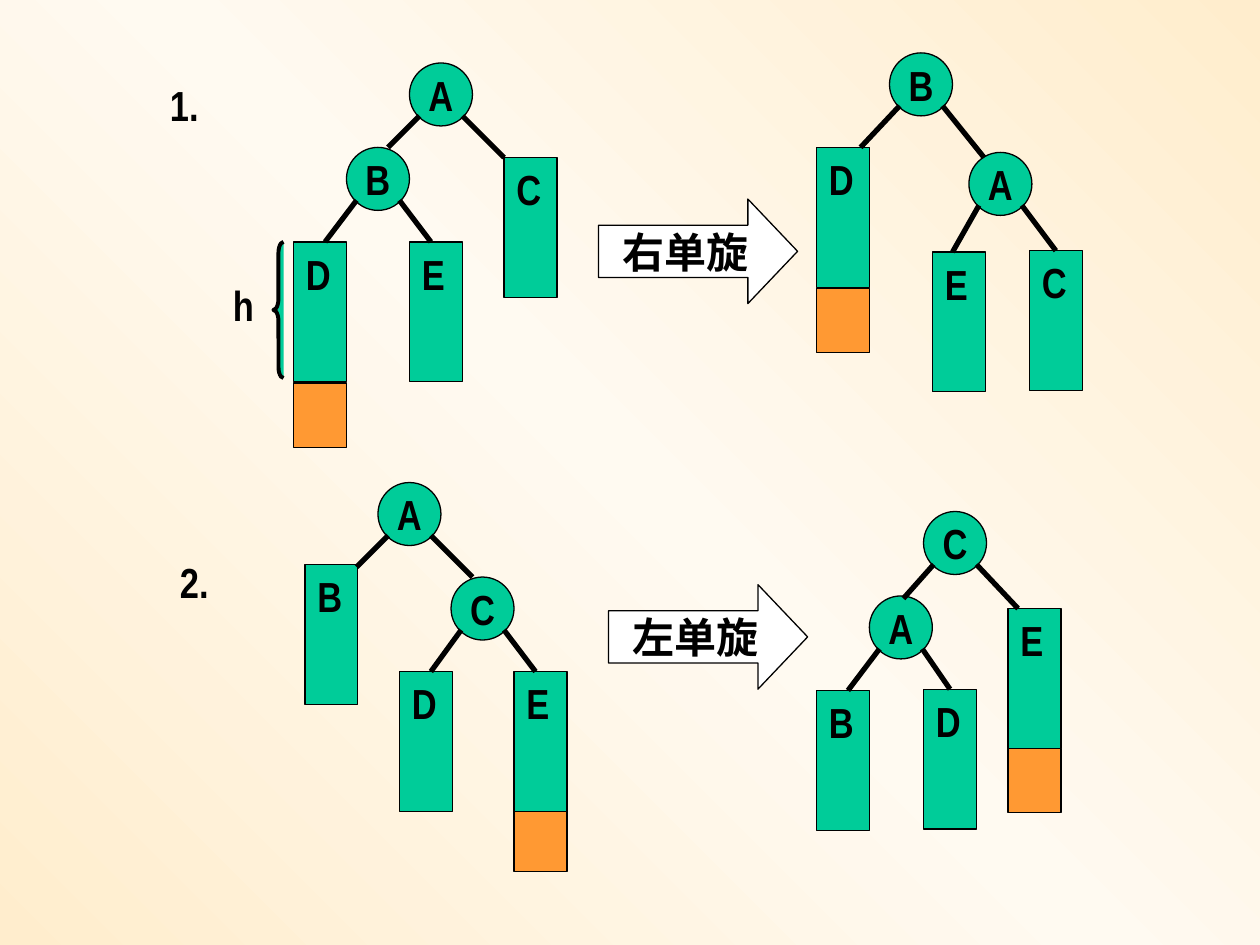
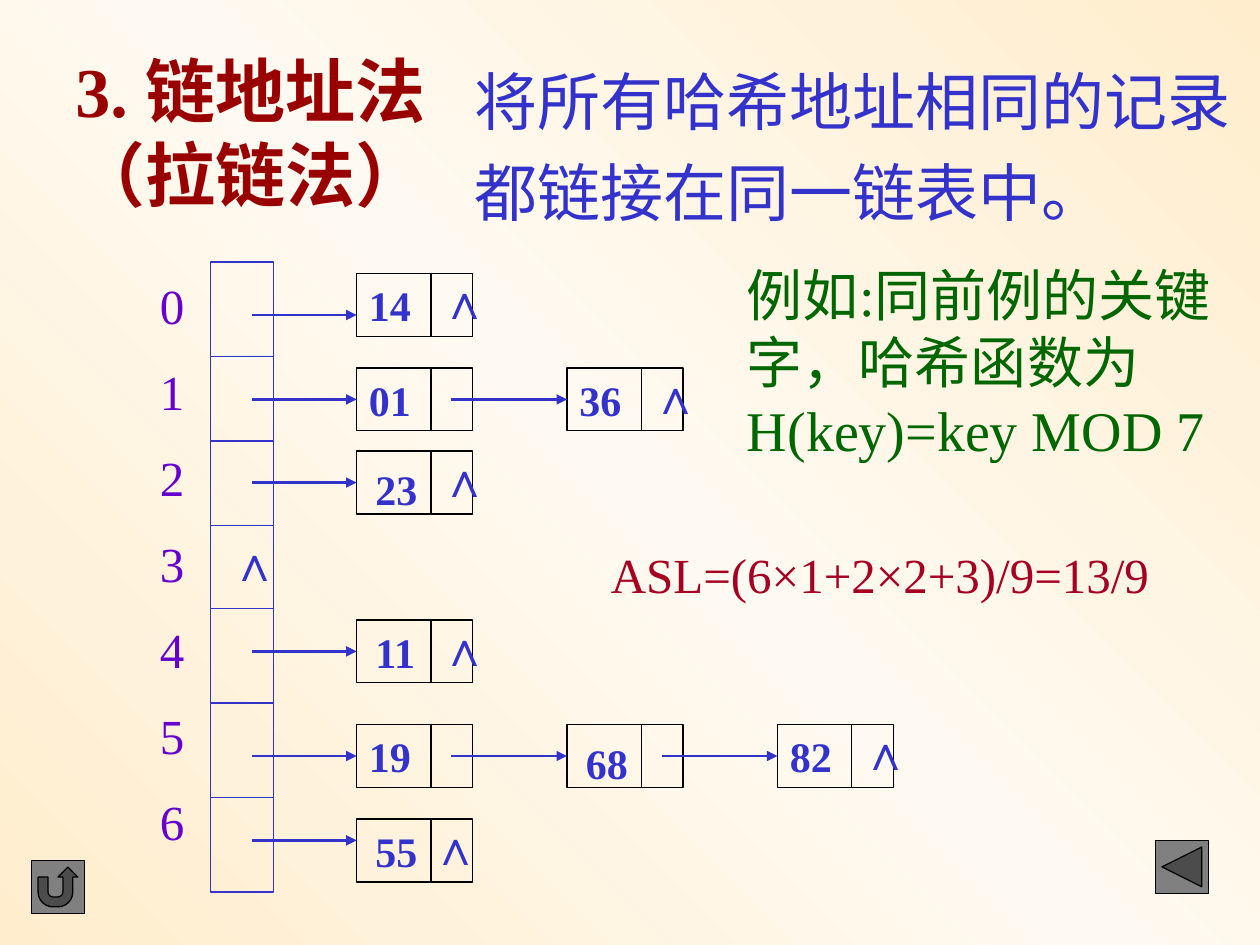
import copy

import pptx
import pptx.dml.color
import pptx.enum.shapes
import pptx.enum.text
import pptx.oxml.ns
import pptx.util
from lxml import etree

Inches = pptx.util.Inches
Pt = pptx.util.Pt
SHAPE = pptx.enum.shapes.MSO_SHAPE
ANCHOR = pptx.enum.text.MSO_ANCHOR
ALIGN = pptx.enum.text.PP_ALIGN
qn = pptx.oxml.ns.qn

BLACK, WHITE = "000000", "FFFFFF"
GREEN, ORANGE, BLUE, GREY = "00CC99", "FF9933", "3333CC", "808080"
CREAM, IVORY = "FFEDCD", "FFFAF1"
NARROW, ROMAN = "Arial Narrow", "Times New Roman"
LABEL = dict(size=24, font=NARROW, bold=True)
KEY = dict(size=24, color=BLUE, bold=True)
NIL = dict(size=28, color=BLUE, bold=True, wrap=False)


def rgb(code):
    """Turn a hex string into a colour."""
    return pptx.dml.color.RGBColor.from_string(code)


def write(frame, text, size=24, font=ROMAN, color=BLACK, bold=False,
          align=ALIGN.LEFT, anchor=ANCHOR.TOP, wrap=True, gap=0, lead=None):
    """Fill a text frame, one paragraph per line of text."""
    frame.word_wrap = wrap
    frame.vertical_anchor = anchor
    for i, line in enumerate(text.split("\n")):
        para = frame.add_paragraph() if i else frame.paragraphs[0]
        para.alignment = align
        if i and gap:
            para.space_before = Pt(gap)
        if lead:
            para.line_spacing = lead
        run = para.add_run()
        run.text = line
        run.font.size, run.font.name, run.font.bold = Pt(size), font, bold
        run.font.color.rgb = rgb(color)


def label(slide, x, y, w, h, text, **form):
    """Add a text box."""
    box = slide.shapes.add_textbox(Inches(x), Inches(y), Inches(w), Inches(h))
    write(box.text_frame, text, **form)


def shape(slide, kind, x, y, w, h, fill=None, line=BLACK, width=0.75):
    """Add a preset shape without a shadow."""
    item = slide.shapes.add_shape(kind, Inches(x), Inches(y), Inches(w), Inches(h))
    item.shadow.inherit = False
    if fill:
        item.fill.solid()
        item.fill.fore_color.rgb = rgb(fill)
    else:
        item.fill.background()
    item.line.color.rgb = rgb(line)
    item.line.width = Pt(width)
    return item


def rule(slide, x1, y1, x2, y2, color=BLACK, width=0.75, arrow=False):
    """Add a straight line, with an arrowhead at its end if asked."""
    line = slide.shapes.add_connector(
        pptx.enum.shapes.MSO_CONNECTOR.STRAIGHT,
        Inches(x1), Inches(y1), Inches(x2), Inches(y2))
    line.line.color.rgb = rgb(color)
    line.line.width = Pt(width)
    props = line._element.spPr
    if arrow:
        etree.SubElement(props.find(qn("a:ln")), qn("a:tailEnd"), type="triangle")
    etree.SubElement(props, qn("a:effectLst"))
    return line


def tree(slide, x, y, nodes, edges, tall, drop):
    """Draw a tree whose parents are circles and whose subtrees are bars."""
    heads = {edge[0] for edge in edges}
    left, top = nodes[tall]
    shape(slide, SHAPE.RECTANGLE, x + left, y + top + drop, 0.42, 0.51, ORANGE)
    made = {}
    for name, (dx, dy) in nodes.items():
        if name in heads:
            item = shape(slide, SHAPE.OVAL, x + dx, y + dy, 0.5, 0.5, GREEN)
            write(item.text_frame, name, align=ALIGN.CENTER,
                  anchor=ANCHOR.MIDDLE, wrap=False, **LABEL)
        else:
            item = shape(slide, SHAPE.RECTANGLE, x + dx, y + dy, 0.42, 1.11, GREEN)
            write(item.text_frame, name, **LABEL)
        made[name] = item
    for head, side, end in edges:
        dx, dy = nodes[head]
        join = end in made
        ex, ey = nodes[end] if join else end
        line = rule(slide, x + dx + 0.25 + side * 0.17, y + dy + 0.42,
                    x + ex, y + ey, width=3)
        if join:
            line.end_connect(made[end], 0)


def turn(slide, x, y, text):
    """Draw the block arrow that names a rotation."""
    item = shape(slide, SHAPE.RIGHT_ARROW, x, y, 1.58, 0.83, WHITE)
    item.adjustments[1] = 0.475
    write(item.text_frame, text, align=ALIGN.CENTER, anchor=ANCHOR.MIDDLE,
          wrap=False, **LABEL)


def spins(slide):
    """Build the slide of single rotations."""
    tree(slide, 6.48, 0.42,
         {"A": (1.21, 0.79), "B": (0.58, 0), "D": (0, 0.75),
          "C": (1.69, 1.57), "E": (0.92, 1.58)},
         [("B", -1, (0.35, 0.75)), ("B", 1, (1.33, 0.83)),
          ("A", -1, (1.08, 1.58)), ("A", 1, "C")], "D", 1.12)
    tree(slide, 2.42, 3.83,
         {"A": (0.58, 0), "C": (1.16, 0.75), "D": (0.75, 1.5),
          "B": (0, 0.65), "E": (1.66, 1.5)},
         [("A", -1, (0.41, 0.67)), ("A", 1, (1.33, 0.75)),
          ("C", -1, (1, 1.5)), ("C", 1, (1.83, 1.5))], "E", 1.08)
    tree(slide, 6.48, 4.06,
         {"A": (0.42, 0.67), "C": (0.85, 0), "E": (1.52, 0.77),
          "D": (0.85, 1.41), "B": (0, 1.42)},
         [("C", -1, (0.69, 0.69)), ("C", 1, (1.6, 0.77)),
          ("A", -1, (0.25, 1.42)), ("A", 1, "D")], "E", 1.11)
    tree(slide, 2.33, 0.5,
         {"A": (0.92, 0), "B": (0.42, 0.67), "C": (1.67, 0.75),
          "D": (0, 1.42), "E": (0.92, 1.42)},
         [("A", -1, (0.75, 0.67)), ("A", 1, (1.67, 0.75)),
          ("B", -1, (0.25, 1.42)), ("B", 1, (1.09, 1.42))], "D", 1.12)
    turn(slide, 4.75, 1.58, "右单旋")
    turn(slide, 4.83, 4.64, "左单旋")
    label(slide, 1.25, 0.58, 1.33, 0.5, "1.", **LABEL)
    label(slide, 1.33, 4.37, 1.33, 0.5, "2.", **LABEL)
    label(slide, 1.75, 2.17, 0.5, 0.5, "h", **LABEL)
    brace = shape(slide, SHAPE.LEFT_BRACE, 2.17, 1.92, 0.08, 1.08, GREEN, width=2.25)
    brace.adjustments[0] = 1.083


def table(slide, x, y):
    """Draw the column of bucket heads with its index."""
    shape(slide, SHAPE.RECTANGLE, x, y, 0.5, 5, line=BLUE)
    for dy in (0.75, 1.42, 2.09, 2.75, 3.5, 4.25):
        rule(slide, x, y + dy, x + 0.5, y + dy, BLUE)
    label(slide, x - 0.5, y + 0.06, 0.58, 4.78, "\n".join("0123456"),
          size=28, color="6600CC", gap=15.5)
    label(slide, x + 0.06, y + 2.1, 0.44, 0.57, "∧", **NIL)


def chain(slide, x, y, mid, keys, end=0.57):
    """Draw one linked list of keys, led by arrows at height mid."""
    nudge = {"23": 0.05, "11": 0, "68": 0.05, "55": 0}
    for i, key in enumerate(keys.split()):
        left = x + 1.67 * i
        cell = shape(slide, SHAPE.RECTANGLE, left, y, 0.92, 0.5)
        frame = cell.text_frame
        down = nudge.get(key, 0)
        frame.margin_left = Inches(0.15 if key in nudge else 0.1)
        frame.margin_top = Inches(0.05 + down)
        frame.margin_bottom = Inches(0.05 - down)
        write(frame, key, anchor=ANCHOR.MIDDLE, wrap=False, **KEY)
        rule(slide, left + 0.59, y, left + 0.59, y + 0.5)
        lead = rule(slide, left - (0.92 if i else 0.83), mid, left, mid,
                    BLUE, 1.5, arrow=True)
        if abs(mid - y - 0.25) < 0.01:
            lead.end_connect(cell, 1)
    label(slide, left + end, y - 0.07, 0.44, 0.57, "∧", **NIL)


def hashing(slide):
    """Build the slide on separate chaining."""
    label(slide, 3.67, 0.33, 6.33, 1.54, "将所有哈希地址相同的记录\n都链接在同一链表中。",
          size=36, color=BLUE, lead=1.2)
    label(slide, 0.5, 0.33, 3.08, 1.43, "3. 链地址法（拉链法）",
          size=40, color="990000", bold=True)
    table(slide, 1.67, 2.08)
    for y, mid, keys in ((2.17, 2.5, "14"), (2.92, 3.17, "01 36"),
                         (3.58, 3.83, "23"), (4.92, 5.17, "11"),
                         (5.75, 6, "19 68 82")):
        chain(slide, 2.83, y, mid, keys)
    chain(slide, 2.83, 6.5, 6.67, "55", end=0.5)
    label(slide, 4.75, 4.27, 4.82, 0.57, "ASL=(6×1+2×2+3)/9=13/9",
          size=28, color="A50021", wrap=False)
    label(slide, 5.83, 2.02, 4.17, 1.7, "例如:同前例的关键字，哈希函数为 H(key)=key MOD 7",
          size=32, color="006600")
    shape(slide, SHAPE.ACTION_BUTTON_BACK_OR_PREVIOUS, 9.17, 6.67, 0.42, 0.42, GREY)
    shape(slide, SHAPE.ACTION_BUTTON_RETURN, 0.25, 6.83, 0.42, 0.42, GREY)


def paint(master):
    """Give the master its diagonal gradient."""
    fill = master.background.fill
    fill.gradient()
    fill.gradient_angle = 45
    stops = master.element.find(".//" + qn("a:gsLst"))
    stops.append(copy.deepcopy(stops[0]))
    for stop, tone, place in zip(fill.gradient_stops, (CREAM, IVORY, CREAM), (0, 0.5, 1)):
        stop.color.rgb = rgb(tone)
        stop.position = place


def main():
    """Build and save the slides."""
    deck = pptx.Presentation()
    deck.slide_width, deck.slide_height = Inches(10), Inches(7.5)
    paint(deck.slide_master)
    for build in (spins, hashing):
        build(deck.slides.add_slide(deck.slide_layouts[6]))
    deck.save("out.pptx")


if __name__ == "__main__":
    main()
